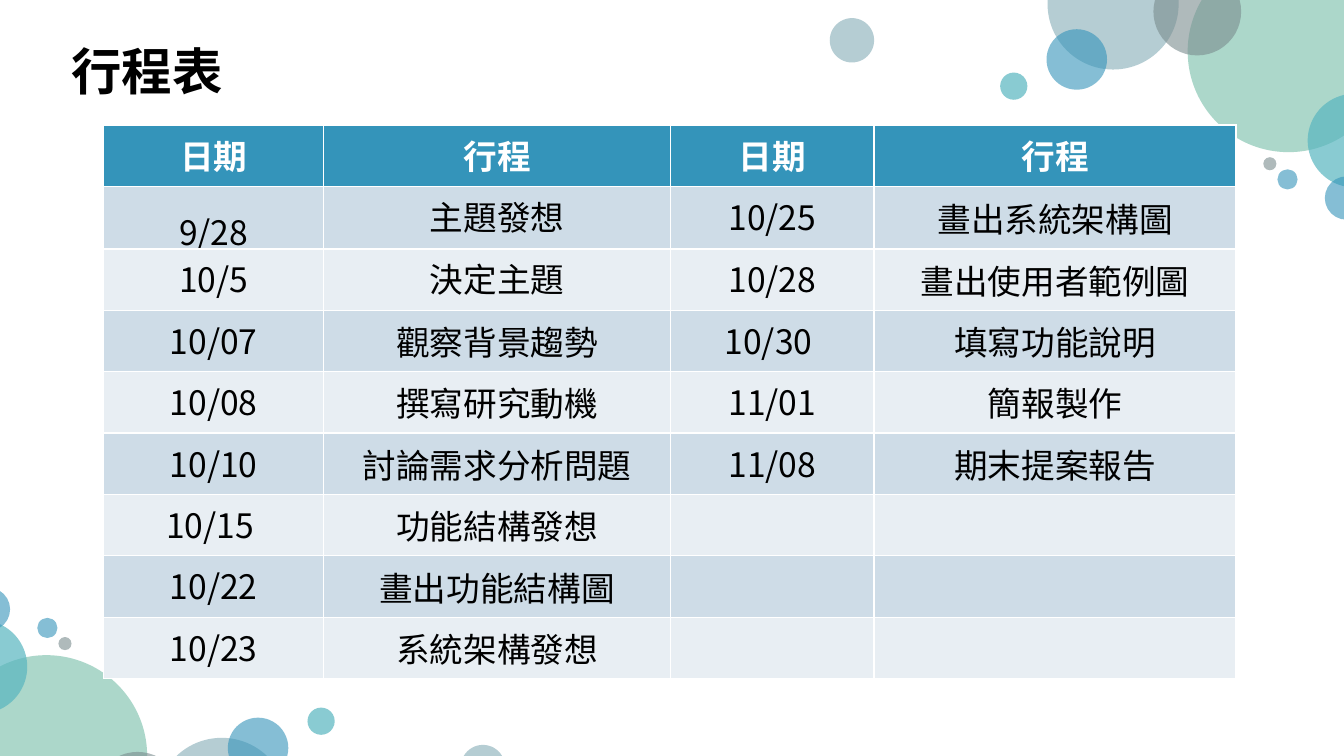
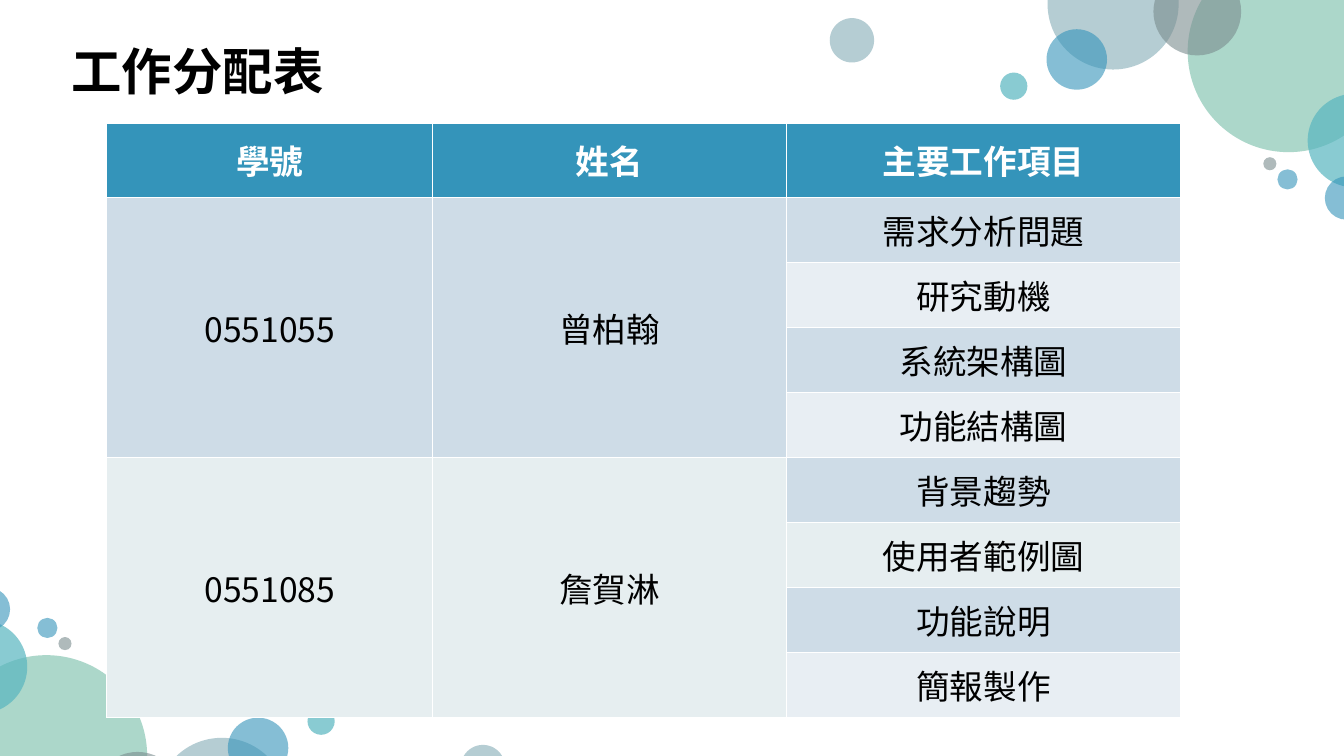
from dataclasses import dataclass

from lxml import etree
from pptx import Presentation
from pptx import util as u
from pptx.dml import color
from pptx.enum import shapes, text
from pptx.oxml import ns

EMU_PER_PX = 9144  # 100 px to the inch


@dataclass(frozen=True)
class Theme:
    font: str = "Noto Sans CJK SC"
    title_size: int = 36
    table_size: int = 24
    ink: str = "000000"
    white: str = "FFFFFF"
    blue: str = "3494BA"
    teal: str = "58B6C0"
    green: str = "75BDA7"
    steel: str = "84ACB6"
    grey: str = "7A8C8E"
    dark_stripe: str = "CEDCE7"
    light_stripe: str = "E8EEF3"
    pale_green: str = "E6EEF0"


THEME = Theme()
SLIDE_SIZE = (1333, 750)
TITLE_POSITION = (61, 35)
TITLE_HEIGHT = 71

# left, top, diameter, colour, opacity in percent
BUBBLES = [
    (1039, -61, 130, THEME.steel, 60),
    (1178, -49, 200, THEME.green, 60),
    (1144, -32, 87, THEME.grey, 60),
    (1038, 29, 60, THEME.blue, 60),
    (1297, 93, 93, THEME.teal, 70),
    (992, 72, 27, THEME.teal, 70),
    (1314, 175, 43, THEME.blue, 60),
    (1267, 168, 20, THEME.blue, 60),
    (1253, 156, 13, THEME.grey, 60),
    (823, 18, 44, THEME.steel, 60),
]
# Sums of opposite positions when the cluster is turned by half a circle
TURN_X, TURN_Y = 1324, 801

SCHEDULE = [
    ("日期", "行程", "日期", "行程"),
    ("9/28", "主題發想", "10/25", "畫出系統架構圖"),
    ("10/5", "決定主題", "10/28", "畫出使用者範例圖"),
    ("10/07", "觀察背景趨勢", "10/30 ", "填寫功能說明"),
    ("10/08", "撰寫研究動機", "11/01", "簡報製作"),
    ("10/10", "討論需求分析問題", "11/08", "期末提案報告"),
    ("10/15 ", "功能結構發想", "", ""),
    ("10/22", "畫出功能結構圖", "", ""),
    ("10/23", "系統架構發想", "", ""),
]

DUTY_HEADINGS = ("學號", "姓名", "主要工作項目")
MEMBERS = [
    ("0551055", "曾柏翰", ["需求分析問題", "研究動機", "系統架構圖", "功能結構圖"]),
    ("0551085", "詹賀淋", ["背景趨勢", "使用者範例圖", "功能說明", "簡報製作"]),
]


def px(length):
    return u.Emu(length * EMU_PER_PX)


def rgb(value):
    return color.RGBColor.from_string(value)


def format_runs(paragraph, size, ink, bold):
    for run in paragraph.runs:
        font = run.font
        font.name = THEME.font
        font.size = u.Pt(size)
        font.bold = bold
        font.color.rgb = rgb(ink)
        east_asian = etree.SubElement(run._r.get_or_add_rPr(), ns.qn("a:ea"))
        east_asian.set("typeface", THEME.font)


def add_bubble(slide, left, top, diameter, fill, opacity):
    bubble = slide.shapes.add_shape(
        shapes.MSO_SHAPE.OVAL, px(left), px(top), px(diameter), px(diameter))
    bubble.shadow.inherit = False
    bubble.line.fill.background()
    bubble.fill.solid()
    bubble.fill.fore_color.rgb = rgb(fill)
    colour = bubble.fill._xPr.find(".//" + ns.qn("a:srgbClr"))
    etree.SubElement(colour, ns.qn("a:alpha")).set("val", str(opacity * 1000))


def add_bubble_corners(slide):
    """Place the cluster at the top right and, turned, at the bottom left."""
    for bubble in BUBBLES:
        add_bubble(slide, *bubble)
    for left, top, diameter, fill, opacity in BUBBLES:
        add_bubble(slide, TURN_X - left - diameter, TURN_Y - top - diameter,
                   diameter, fill, opacity)


def add_title(slide, title, width):
    left, top = TITLE_POSITION
    box = slide.shapes.add_textbox(px(left), px(top), px(width), px(TITLE_HEIGHT))
    frame = box.text_frame
    frame.word_wrap = False
    frame.auto_size = text.MSO_AUTO_SIZE.SHAPE_TO_FIT_TEXT
    frame.text = title
    format_runs(frame.paragraphs[0], THEME.title_size, THEME.ink, True)


def fill_cell(cell, fill):
    cell.fill.solid()
    cell.fill.fore_color.rgb = rgb(fill)


def add_striped_table(slide, position, columns, height, header_height, rows):
    """Share the height below the header equally among the body rows."""
    left, top = position
    frame = slide.shapes.add_table(
        len(rows), len(columns), px(left), px(top), px(sum(columns)), px(height))
    table = frame.table
    for column, width in zip(table.columns, columns):
        column.width = px(width)
    body_height = px(height - header_height) // (len(rows) - 1)
    for row_index, values in enumerate(rows):
        header = row_index == 0
        table.rows[row_index].height = px(header_height) if header else body_height
        stripe = THEME.dark_stripe if row_index % 2 else THEME.light_stripe
        for column_index, value in enumerate(values):
            cell = table.cell(row_index, column_index)
            fill_cell(cell, THEME.blue if header else stripe)
            cell.vertical_anchor = text.MSO_ANCHOR.MIDDLE
            cell.text_frame.text = value
            paragraph = cell.text_frame.paragraphs[0]
            paragraph.alignment = text.PP_ALIGN.CENTER
            format_runs(paragraph, THEME.table_size,
                        THEME.white if header else THEME.ink, header)
    return table


def add_base_slide(presentation, title, title_width):
    slide = presentation.slides.add_slide(presentation.slide_layouts[6])
    add_bubble_corners(slide)
    add_title(slide, title, title_width)
    return slide


def add_schedule_slide(presentation):
    slide = add_base_slide(presentation, "行程表", 172)
    table = add_striped_table(slide, (103, 124), (218, 344, 202, 359), 548, 61, SCHEDULE)
    for row_index in range(len(SCHEDULE)):
        for column_index in (0, 2):
            table.cell(row_index, column_index).vertical_anchor = text.MSO_ANCHOR.TOP
    for row_index in range(3):
        table.cell(row_index, 1).vertical_anchor = text.MSO_ANCHOR.TOP
    table.cell(0, 3).vertical_anchor = text.MSO_ANCHOR.TOP
    table.cell(1, 0).text_frame.paragraphs[0].line_spacing = 1.3


def add_duties_slide(presentation):
    slide = add_base_slide(presentation, "工作分配表", 273)
    rows = [DUTY_HEADINGS]
    for number, name, duties in MEMBERS:
        rows += [(number, name, duties[0])] + [("", "", duty) for duty in duties[1:]]
    table = add_striped_table(slide, (106, 122), (323, 351, 391), 590, 74, rows)

    first_row = 1
    for (_, _, duties), fill in zip(MEMBERS, (THEME.dark_stripe, THEME.pale_green)):
        last_row = first_row + len(duties) - 1
        for column_index in (0, 1):
            cell = table.cell(first_row, column_index)
            cell.merge(table.cell(last_row, column_index))
            fill_cell(cell, fill)
        first_row = last_row + 1
    fill_cell(table.cell(6, 2), THEME.pale_green)


def main():
    presentation = Presentation()
    presentation.slide_width, presentation.slide_height = map(px, SLIDE_SIZE)
    add_schedule_slide(presentation)
    add_duties_slide(presentation)
    presentation.save("out.pptx")


if __name__ == "__main__":
    main()
